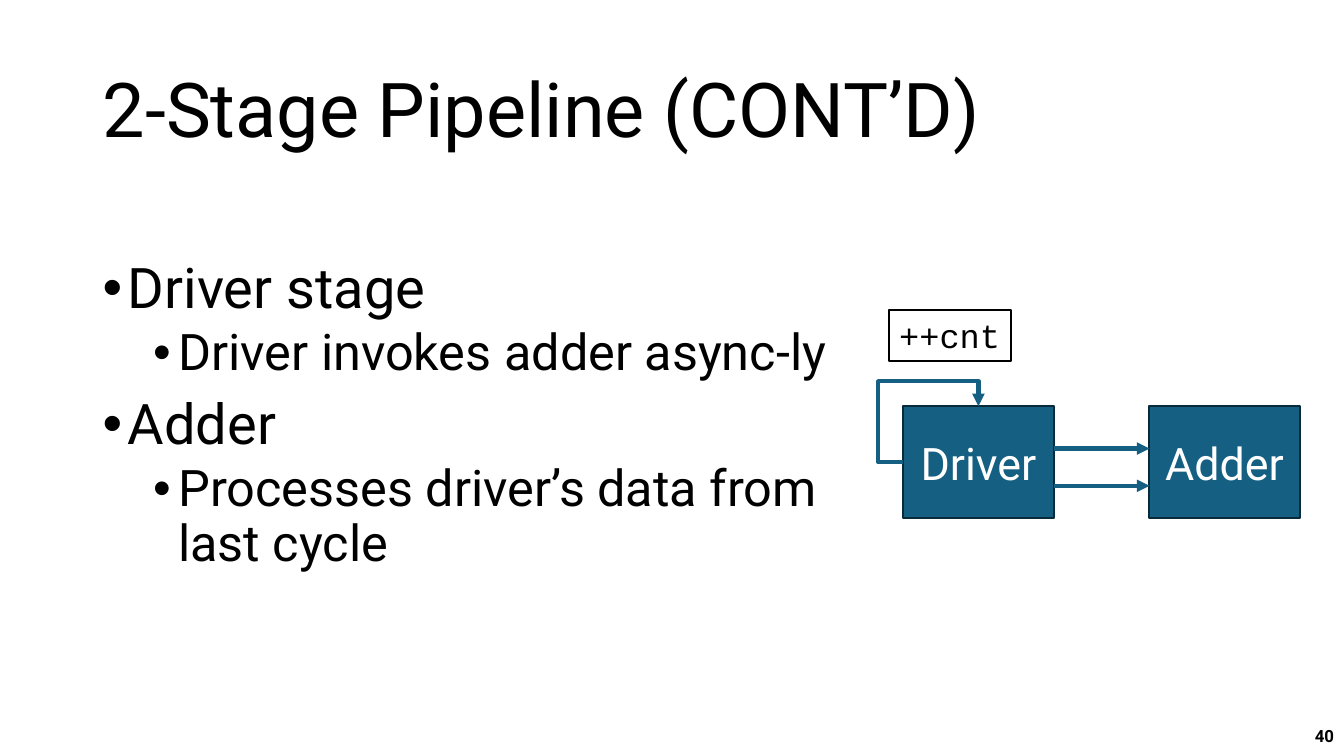
from lxml import etree
from pptx import Presentation
from pptx.dml.color import RGBColor
from pptx.enum.shapes import MSO_CONNECTOR as CONN, MSO_SHAPE
from pptx.enum.text import MSO_ANCHOR as ANCHOR, MSO_AUTO_SIZE, PP_ALIGN as ALIGN
from pptx.oxml.ns import qn
from pptx.util import Inches, Pt

BLACK = RGBColor(0x00, 0x00, 0x00)
WHITE = RGBColor(0xFF, 0xFF, 0xFF)
TEAL = RGBColor(0x15, 0x60, 0x82)
DARK_TEAL = RGBColor(0x09, 0x2A, 0x39)

TITLE = "2-Stage Pipeline (CONT’D)"
BULLETS = [  # level, text
    (0, "Driver stage"),
    (1, "Driver invokes adder async-ly"),
    (0, "Adder"),
    (1, "Processes driver’s data from last cycle"),
]
LEVELS = [  # size, left margin in inches, space before
    (40, 0.25, 10),
    (36, 0.75, 5),
]
HANGING = 0.25
PAGE_NUMBER = "40"
COUNTER = "++cnt"

STAGES = [("Driver", 8.96), ("Adder", 11.4)]  # text, left
STAGE_TOP, STAGE_W, STAGE_H = 4.03, 1.49, 1.11
ARROW_YS = [4.45, 4.82]
LOOP_ADJUST = {"adj1": -33600, "adj2": 144900}


def write(p, text, size, font="Roboto", color=BLACK, bold=False, align=ALIGN.LEFT,
          spacing=None, before=0):
    p.alignment = align
    p.space_before = Pt(before)
    if spacing:
        p.line_spacing = spacing
    r = p.add_run()
    r.text = text
    r.font.size, r.font.name, r.font.bold = Pt(size), font, bold
    r.font.color.rgb = color


def add_text_frame(s, box, anchor=ANCHOR.TOP):
    tf = s.shapes.add_textbox(*map(Inches, box)).text_frame
    tf.word_wrap = True
    tf.vertical_anchor = anchor
    return tf


def add_bullet(p, left):
    pPr = p._p.get_or_add_pPr()
    pPr.set("marL", str(Inches(left)))
    pPr.set("indent", str(-Inches(HANGING)))
    etree.SubElement(pPr, qn("a:buFont"), typeface="Arial")
    etree.SubElement(pPr, qn("a:buChar"), char="•")


def add_box(s, box, fill, line):
    sp = s.shapes.add_shape(MSO_SHAPE.RECTANGLE, *map(Inches, box))
    sp.shadow.inherit = False
    sp.fill.solid()
    sp.fill.fore_color.rgb = fill
    sp.line.color.rgb = line
    sp.line.width = Pt(1.5)
    sp.text_frame.vertical_anchor = ANCHOR.MIDDLE
    return sp


def add_arrow(s, kind, *ends):
    arrow = s.shapes.add_connector(kind, *map(Inches, ends))
    arrow.line.color.rgb = TEAL
    arrow.line.width = Pt(3)
    etree.SubElement(arrow.line._get_or_add_ln(), qn("a:tailEnd"), type="triangle")
    etree.SubElement(arrow._element.spPr, qn("a:effectLst"))
    return arrow


def add_self_loop(s, sp):
    """Arrow leaving the left side of sp and coming back in at its top."""
    left = STAGES[0][1]
    loop = add_arrow(s, CONN.ELBOW, left, STAGE_TOP + STAGE_H / 2,
                     left + STAGE_W / 2, STAGE_TOP)
    loop.begin_connect(sp, 1)
    loop.end_connect(sp, 0)
    spPr = loop._element.spPr
    xfrm = spPr.find(qn("a:xfrm"))
    xfrm.attrib.pop("flipV", None)
    xfrm.set("rot", "10800000")
    xfrm.set("flipH", "1")
    geom = spPr.find(qn("a:prstGeom"))
    geom.set("prst", "bentConnector4")
    guides = geom.find(qn("a:avLst"))
    if guides is None:
        guides = etree.SubElement(geom, qn("a:avLst"))
    for name, value in LOOP_ADJUST.items():
        etree.SubElement(guides, qn("a:gd"), name=name, fmla=f"val {value}")


def main():
    prs = Presentation()
    prs.slide_width, prs.slide_height = Inches(13.33), Inches(7.5)
    s = prs.slides.add_slide(prs.slide_layouts[6])

    tf = add_text_frame(s, (0.92, 0.4, 11.5, 1.45), ANCHOR.MIDDLE)
    write(tf.paragraphs[0], TITLE, 54, spacing=0.9)

    tf = add_text_frame(s, (0.92, 2.53, 7.42, 3.56))
    for i, (level, text) in enumerate(BULLETS):
        p = tf.add_paragraph() if i else tf.paragraphs[0]
        size, left, before = LEVELS[level]
        p.level = level
        write(p, text, size, spacing=0.9, before=before)
        add_bullet(p, left)

    tf = add_text_frame(s, (10.33, 7.1, 3, 0.4), ANCHOR.MIDDLE)
    write(tf.paragraphs[0], PAGE_NUMBER, 12, bold=True, align=ALIGN.RIGHT)

    stages = []
    for text, left in STAGES:
        sp = add_box(s, (left, STAGE_TOP, STAGE_W, STAGE_H), TEAL, DARK_TEAL)
        write(sp.text_frame.paragraphs[0], text, 32, color=WHITE, align=ALIGN.CENTER)
        stages.append(sp)

    add_self_loop(s, stages[0])
    for y in ARROW_YS:
        add_arrow(s, CONN.STRAIGHT, STAGES[0][1] + STAGE_W, y, STAGES[1][1], y)

    tf = add_box(s, (8.82, 3.08, 1.21, 0.5), WHITE, BLACK).text_frame
    tf.word_wrap = False
    tf.auto_size = MSO_AUTO_SIZE.SHAPE_TO_FIT_TEXT
    tf.vertical_anchor = ANCHOR.TOP
    write(tf.paragraphs[0], COUNTER, 24, font="Courier New")

    prs.save("out.pptx")


if __name__ == "__main__":
    main()
